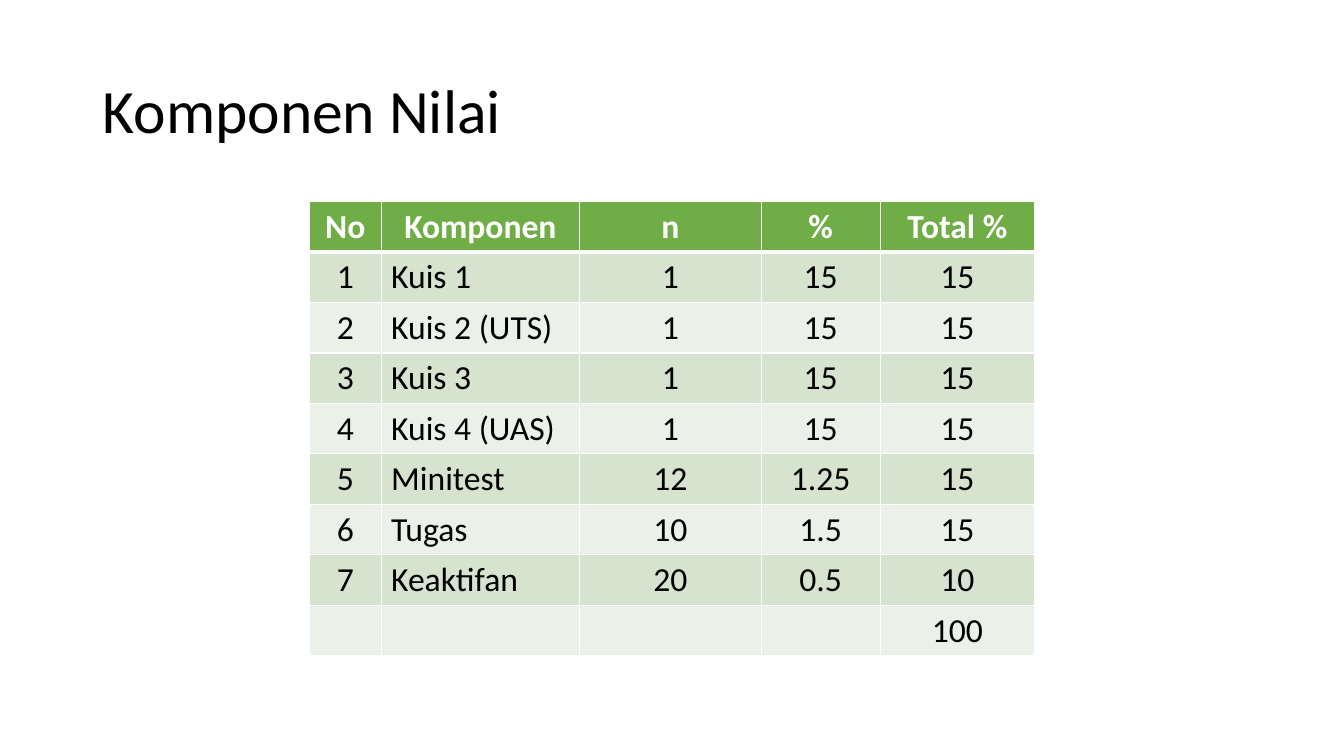
import pptx
import pptx.dml.color
import pptx.enum.text
import pptx.oxml
import pptx.oxml.ns
import pptx.util
from pptx.util import Inches

RGBColor = pptx.dml.color.RGBColor
BLACK = RGBColor(0x00, 0x00, 0x00)
WHITE = RGBColor(0xFF, 0xFF, 0xFF)
GREEN = RGBColor(0x70, 0xAD, 0x47)
BAND_DARK = RGBColor(0xD5, 0xE3, 0xCF)
BAND_LIGHT = RGBColor(0xEB, 0xF1, 0xE9)

ALIGN = pptx.enum.text.PP_ALIGN
MIDDLE = pptx.enum.text.MSO_ANCHOR.MIDDLE

HEADINGS = ("No", "Komponen", "n", "%", "Total %")
COMPONENTS = (
    ("1", "Kuis 1", "1", "15", "15"),
    ("2", "Kuis 2 (UTS)", "1", "15", "15"),
    ("3", "Kuis 3", "1", "15", "15"),
    ("4", "Kuis 4 (UAS)", "1", "15", "15"),
    ("5", "Minitest", "12", "1.25", "15"),
    ("6", "Tugas", "10", "1.5", "15"),
    ("7", "Keaktifan", "20", "0.5", "10"),
)
GRAND_TOTAL = ("", "", "", "", "100")
COLUMN_WIDTHS = (0.71, 1.97, 1.8, 1.18, 1.53)
ROW_HEIGHT = 0.5
NAME_COLUMN = 1


class GradeSlide:
    font = "Calibri"
    title_size = 44
    table_size = 24

    def __init__(self, presentation):
        self.slide = presentation.slides.add_slide(presentation.slide_layouts[6])

    def add_words(self, paragraph, words, size, color, bold=False):
        run = paragraph.add_run()
        run.text = words
        run.font.name = self.font
        run.font.size = pptx.util.Pt(size)
        run.font.color.rgb = color
        run.font.bold = bold

    def title(self, words, left, top, width, height):
        frame = self.slide.shapes.add_textbox(
            Inches(left), Inches(top), Inches(width), Inches(height)).text_frame
        frame.word_wrap = True
        frame.vertical_anchor = MIDDLE
        frame.paragraphs[0].line_spacing = 0.9
        self.add_words(frame.paragraphs[0], words, self.title_size, BLACK)

    def border(self, cell, widths):
        """Draw white borders; widths gives points for each side L, R, T, B."""
        properties = cell._tc.get_or_add_tcPr()
        for position, (side, points) in enumerate(widths.items()):
            line = pptx.oxml.parse_xml(
                f'<a:ln{side} {pptx.oxml.ns.nsdecls("a")} w="{pptx.util.Pt(points)}">'
                f'<a:solidFill><a:srgbClr val="{WHITE}"/></a:solidFill></a:ln{side}>')
            properties.insert(position, line)

    def table(self, rows, left, top):
        table = self.slide.shapes.add_table(
            len(rows), len(COLUMN_WIDTHS), Inches(left), Inches(top),
            Inches(sum(COLUMN_WIDTHS)), Inches(ROW_HEIGHT * len(rows))).table
        for column, width in zip(table.columns, COLUMN_WIDTHS):
            column.width = Inches(width)
        for r, row in enumerate(rows):
            header = r == 0
            fill = GREEN if header else BAND_DARK if r % 2 else BAND_LIGHT
            widths = {"L": 1, "R": 1, "T": 3 if r == 1 else 1, "B": 3 if header else 1}
            for c, words in enumerate(row):
                cell = table.cell(r, c)
                cell.fill.solid()
                cell.fill.fore_color.rgb = fill
                cell.vertical_anchor = MIDDLE
                self.border(cell, widths)
                if words:
                    paragraph = cell.text_frame.paragraphs[0]
                    left_aligned = c == NAME_COLUMN and not header
                    paragraph.alignment = ALIGN.LEFT if left_aligned else ALIGN.CENTER
                    self.add_words(paragraph, words, self.table_size,
                                   WHITE if header else BLACK, bold=header)


def main():
    presentation = pptx.Presentation()
    presentation.slide_width = Inches(13.33)
    presentation.slide_height = Inches(7.5)
    grades = GradeSlide(presentation)
    grades.title("Komponen Nilai", 0.92, 0.4, 11.5, 1.45)
    grades.table((HEADINGS, *COMPONENTS, GRAND_TOTAL), 3.07, 2)
    presentation.save("out.pptx")


if __name__ == "__main__":
    main()
